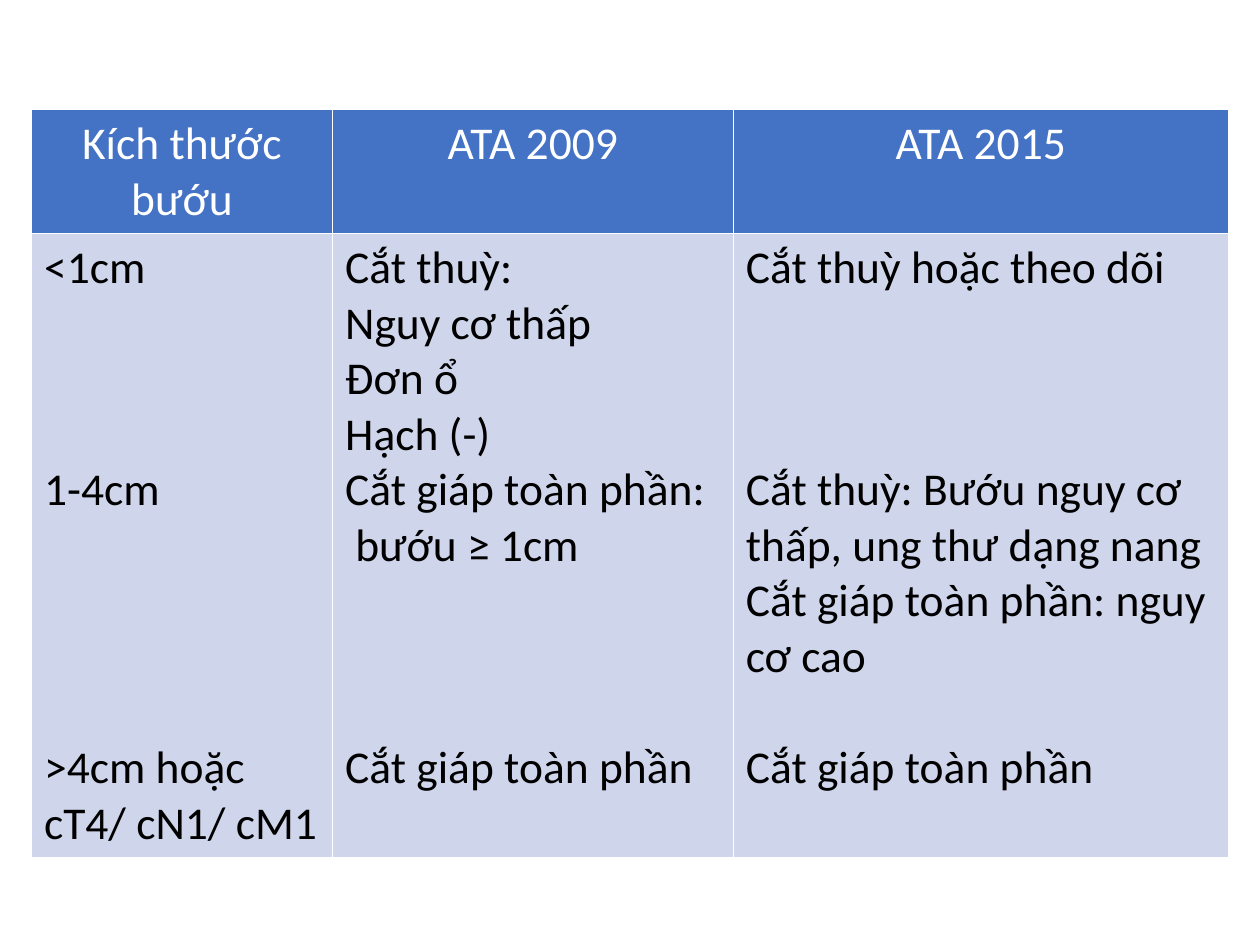
from lxml.etree import SubElement
from pptx import Presentation
from pptx.dml.color import RGBColor
from pptx.enum.text import PP_ALIGN
from pptx.oxml.ns import qn
from pptx.util import Inches, Pt

COLORS = {"header": "4472C4", "body": "CFD5EA", "white": "FFFFFF", "black": "000000"}
FONT_SIZE = 26
LINE_HEIGHT = 31.74  # points, one Calibri line at FONT_SIZE
SPACE_INDENT = Inches(0.08)

COLUMN_WIDTHS = [2.39, 3.18, 3.93]
ROW_HEIGHTS = [0.98, 4.95]
HEADERS = ["Kích thước bướu", "ATA 2009", "ATA 2015"]
# Each entry: text, empty lines above it, left indent
BODY = [
    [("<1cm", 0, 0), ("1-4cm", 3, 0), (">4cm hoặc cT4/ cN1/ cM1", 4, 0)],
    [
        ("Cắt thuỳ:", 0, 0),
        ("Nguy cơ thấp", 0, 0),
        ("Đơn ổ", 0, 0),
        ("Hạch (-)", 0, 0),
        ("Cắt giáp toàn phần:", 0, 0),
        ("bướu ≥ 1cm", 0, SPACE_INDENT),
        ("Cắt giáp toàn phần", 3, 0),
    ],
    [
        ("Cắt thuỳ hoặc theo dõi", 0, 0),
        ("Cắt thuỳ: Bướu nguy cơ thấp, ung thư dạng nang", 3, 0),
        ("Cắt giáp toàn phần: nguy cơ cao", 0, 0),
        ("Cắt giáp toàn phần", 1, 0),
    ],
]


def set_borders(cell, color):
    properties = cell._tc.get_or_add_tcPr()
    for side in ("a:lnL", "a:lnR", "a:lnT", "a:lnB"):
        line = SubElement(properties, qn(side), w=str(Pt(1)))
        fill = SubElement(line, qn("a:solidFill"))
        SubElement(fill, qn("a:srgbClr"), val=color)


def fill_cell(cell, entries, fill, color, alignment):
    set_borders(cell, COLORS["white"])
    cell.fill.solid()
    cell.fill.fore_color.rgb = RGBColor.from_string(COLORS[fill])
    frame = cell.text_frame
    for index, (text, empty_lines, indent) in enumerate(entries):
        paragraph = frame.add_paragraph() if index else frame.paragraphs[0]
        paragraph.text = text
        paragraph.alignment = alignment
        if empty_lines:
            paragraph.space_before = Pt(empty_lines * LINE_HEIGHT)
        if indent:
            paragraph._p.get_or_add_pPr().set("marL", str(indent))
        font = paragraph.font
        font.name = "Calibri"
        font.size = Pt(FONT_SIZE)
        font.bold = False
        font.color.rgb = RGBColor.from_string(COLORS[color])


def add_comparison_table(slide):
    table = slide.shapes.add_table(
        len(ROW_HEIGHTS), len(COLUMN_WIDTHS), Inches(0.25), Inches(0.87),
        Inches(sum(COLUMN_WIDTHS)), Inches(sum(ROW_HEIGHTS)),
    ).table
    for row, height in zip(table.rows, ROW_HEIGHTS):
        row.height = Inches(height)
    for index, width in enumerate(COLUMN_WIDTHS):
        table.columns[index].width = Inches(width)
        fill_cell(table.cell(0, index), [(HEADERS[index], 0, 0)],
                  "header", "white", PP_ALIGN.CENTER)
        fill_cell(table.cell(1, index), BODY[index],
                  "body", "black", PP_ALIGN.LEFT)


def main():
    presentation = Presentation()
    presentation.slide_width = Inches(10)
    presentation.slide_height = Inches(7.5)
    slide = presentation.slides.add_slide(presentation.slide_layouts[6])
    add_comparison_table(slide)
    presentation.save("out.pptx")


if __name__ == "__main__":
    main()
